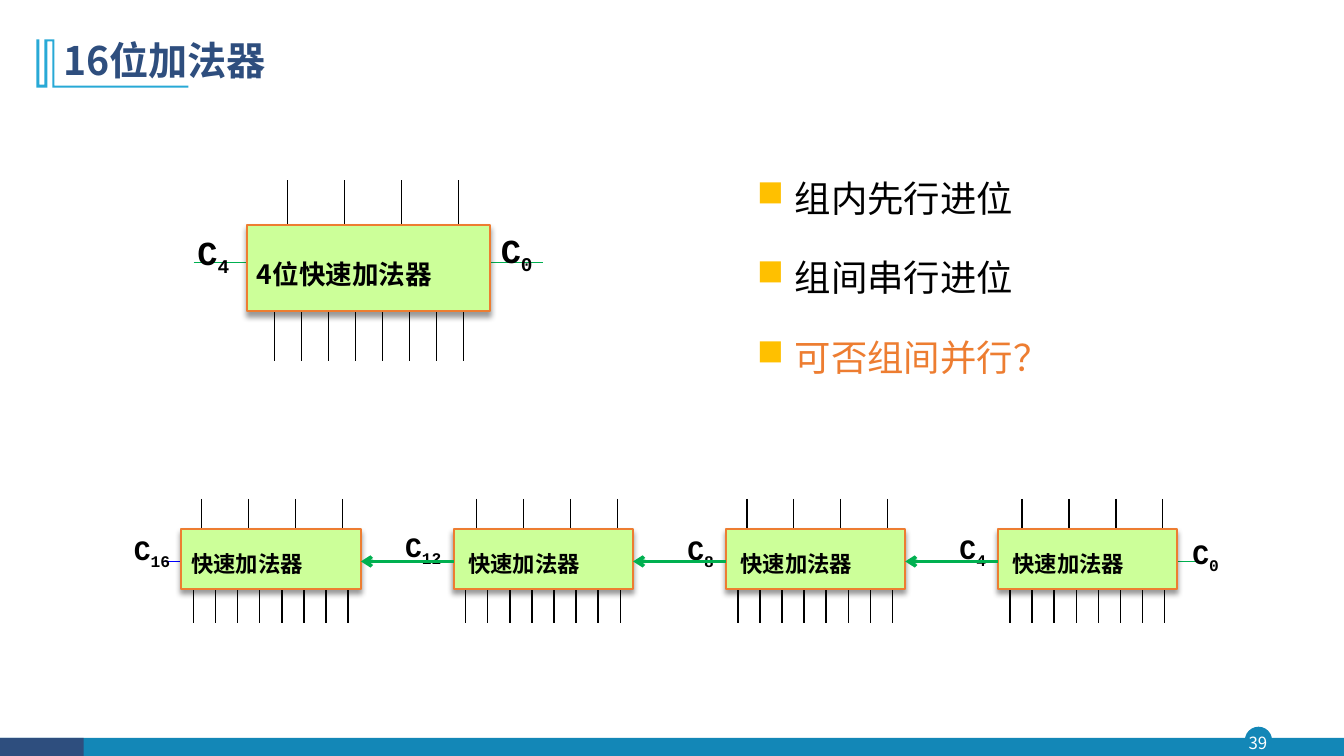
from lxml import etree
from pptx import Presentation
from pptx.dml.color import RGBColor
from pptx.enum.shapes import MSO_CONNECTOR, MSO_SHAPE
from pptx.enum.text import MSO_ANCHOR, PP_ALIGN
from pptx.oxml.ns import qn
from pptx.util import Inches, Pt

LINE = MSO_CONNECTOR.STRAIGHT
RECT, OVAL = MSO_SHAPE.RECTANGLE, MSO_SHAPE.OVAL
TOP, MID = MSO_ANCHOR.TOP, MSO_ANCHOR.MIDDLE
LEFT, CENTER, FULL = PP_ALIGN.LEFT, PP_ALIGN.CENTER, PP_ALIGN.JUSTIFY

HAN, MONO = "Noto Sans CJK SC", "Courier New"
COLS, ROWS = 133.33, 75
HUE = {
    "ink": "000000", "white": "FFFFFF", "navy": "2E4E7E", "teal": "1387B7",
    "sky": "28A9D6", "lime": "CCFF99", "orange": "ED7D31", "gold": "FFC000",
    "green": "00B050", "blue": "0000FF",
}
MARK = [(54, 39), (54, 85), (187, 85), (187, 87), (52, 87), (52, 41), (47, 41),
        (47, 87), (36, 87), (36, 39), (39, 39), (39, 84), (44, 84), (44, 39)]


def cell(n):
    return Inches(n / 10)


def rgb(name):
    return RGBColor.from_string(HUE[name])


def node(base, tag, **attrs):
    item = etree.SubElement(base, qn("a:" + tag))
    for key, value in attrs.items():
        item.set(key, str(value))
    return item


def write(shape, paras, size=16, font=HAN, bold=False, anchor=TOP, align=LEFT,
          lead=1.0, before=0, inset=(1, 0.5, 1, 0.5), bullet=None):
    frame = shape.text_frame
    frame.word_wrap = True
    frame.vertical_anchor = anchor
    (frame.margin_left, frame.margin_top,
     frame.margin_right, frame.margin_bottom) = map(cell, inset)
    for i, (text, sub, hue) in enumerate(paras):
        para = frame.paragraphs[0] if i == 0 else frame.add_paragraph()
        para.alignment = align
        para.line_spacing = lead
        if i:
            para.space_before = Pt(before)
        if bullet:
            props = para._p.get_or_add_pPr()
            props.set("marL", str(cell(3.75)))
            props.set("indent", str(-cell(3.75)))
            node(node(props, "buClr"), "srgbClr", val=HUE[bullet])
            node(props, "buChar", char="■")
        for part, shift in ((text, 0), (sub, -25000)):
            if not part:
                continue
            run = para.add_run()
            run.text = part
            run.font.size = Pt(size)
            run.font.bold = bold
            run.font.color.rgb = rgb(hue)
            run.font.name = font
            props = run._r.get_or_add_rPr()
            node(props, "ea", typeface=font)
            if shift:
                props.set("baseline", str(shift))


def box(shapes, x, y, w, h, paras, **form):
    write(shapes.add_textbox(*map(cell, (x, y, w, h))), paras, **form)


def block(shapes, kind, x, y, w, h, fill):
    shape = shapes.add_shape(kind, *map(cell, (x, y, w, h)))
    shape.shadow.inherit = False
    shape.fill.solid()
    shape.fill.fore_color.rgb = rgb(fill)
    shape.line.fill.background()
    return shape


def wire(shapes, x1, y1, x2, y2, hue="ink", width=0.75, arrow=False):
    line = shapes.add_connector(LINE, *map(cell, (x1, y1, x2, y2)))
    line.line.color.rgb = rgb(hue)
    line.line.width = Pt(width)
    if arrow:
        node(line.line._get_or_add_ln(), "headEnd", type="arrow")
    node(line._element.spPr, "effectLst")


def label(shapes, x, y, w, h, sub, size):
    box(shapes, x, y, w, h, [("C", sub, "ink")], size=size, font=MONO, bold=True,
        lead=1.2, inset=(1, 0.5 + size / 36, 1, 0.5))


def adder(slide, x, y, w, h, name, size, ins, outs, pin, lap, mid, stubs,
          width, pad=1.0):
    shapes = slide.shapes.add_group_shape().shapes
    start, gap = ins
    for i in range(4):
        at = x + start + i * gap
        wire(shapes, at, y + lap - pin, at, y + lap, width=width)
    start, gap = outs
    for i in range(8):
        at = x + start + i * gap
        wire(shapes, at, y + h, at, y + h + pin, width=width)
    reach, left, right = stubs
    wire(shapes, x - reach, mid, x, mid, left, width)
    wire(shapes, x + w, mid, x + w + reach, mid, right, width)
    body = block(shapes, RECT, x, y, w, h, "lime")
    body.line.color.rgb = rgb("orange")
    body.line.width = Pt(1.5)
    glow = node(body._element.spPr.find(qn("a:effectLst")), "outerShdw",
                blurRad=Pt(4), dist=Pt(3), dir=5400000, rotWithShape=0)
    node(node(glow, "srgbClr", val=HUE["ink"]), "alpha", val=40000)
    write(body, [(name, "", "ink")], size=size, bold=True, anchor=MID, lead=1.2,
          inset=(pad, 0.5 + size / 36, 1, 0.5))
    return shapes


def frame(slide):
    shapes = slide.shapes
    block(shapes, OVAL, 123.5, 72.1, 2.7, 2.7, "teal")
    block(shapes, RECT, 0, 73.2, COLS, ROWS - 73.2, "teal")
    block(shapes, RECT, 0, 73.2, 8.3, ROWS - 73.2, "navy")
    box(shapes, 123.2, 72.1, 3.2, 3.1, [("39", "", "white")], size=12,
        anchor=MID, align=CENTER, inset=(0, 0, 0, 0))
    pen = shapes.build_freeform(*MARK[0], scale=Inches(0.01))
    pen.add_line_segments(MARK[1:], close=True)
    mark = pen.convert_to_shape()
    mark.shadow.inherit = False
    mark.fill.solid()
    mark.fill.fore_color.rgb = rgb("sky")
    mark.line.fill.background()
    box(shapes, 5.3, 2.8, 115, 6.8, [("16位加法器", "", "navy")], size=28,
        bold=True, anchor=MID, lead=0.9)


def chain(slide):
    x, step, y, w, h, mid = 18, 27, 52.5, 17.8, 5.9, 55.7
    cells = [
        ("16", 12.3, 51, 6.7, 2.0, 1.0),
        ("12", 39.2, 50.7, 7.4, 2.3, 1.45),
        ("8", 67.2, 51, 5.4, 2.1, 1.45),
        ("4", 94.2, 50.9, 5.4, 2.4, 1.45),
    ]
    last = len(cells) - 1
    for i, (sub, left, top, wide, start, pad) in enumerate(cells):
        at = x + i * step
        stubs = (1.9, "ink" if i else "blue", "green" if i == last else "ink")
        shapes = adder(slide, at, y, w, h, "快速加法器", 16, (start, 4.65),
                       (1.2, 2.19), 3.4, 0.4, mid, stubs, 1, pad)
        label(shapes, left, top, wide, 4.1, sub, 20)
        if i == last:
            label(shapes, 117.3, 51.4, 5.7, 3, "0", 20)
    for i in range(last):
        at = x + i * step
        wire(slide.shapes, at + w, mid, at + step, mid, "green", 2.5, True)


def main():
    deck = Presentation()
    deck.slide_width, deck.slide_height = cell(COLS), cell(ROWS)
    slide = deck.slides.add_slide(deck.slide_layouts[6])
    frame(slide)
    box(slide.shapes, 74.1, 14.8, 42.8, 23.4,
        [("组内先行进位", "", "ink"), ("组间串行进位", "", "ink"),
         ("可否组间并行？", "", "orange")],
        size=26, align=FULL, lead=1.5, before=10, bullet="gold")
    shapes = adder(slide, 24.5, 22.3, 24.1, 8.6, "4位快速加法器", 19, (4, 5.67),
                   (2.7, 2.68), 4.9, 0.5, 26, (5.3, "green", "green"), 0.75)
    label(shapes, 18.6, 20.9, 6.6, 5.5, "4", 24)
    label(shapes, 48.7, 20.7, 6.9, 4.3, "0", 24)
    chain(slide)
    deck.save("out.pptx")


if __name__ == "__main__":
    main()
